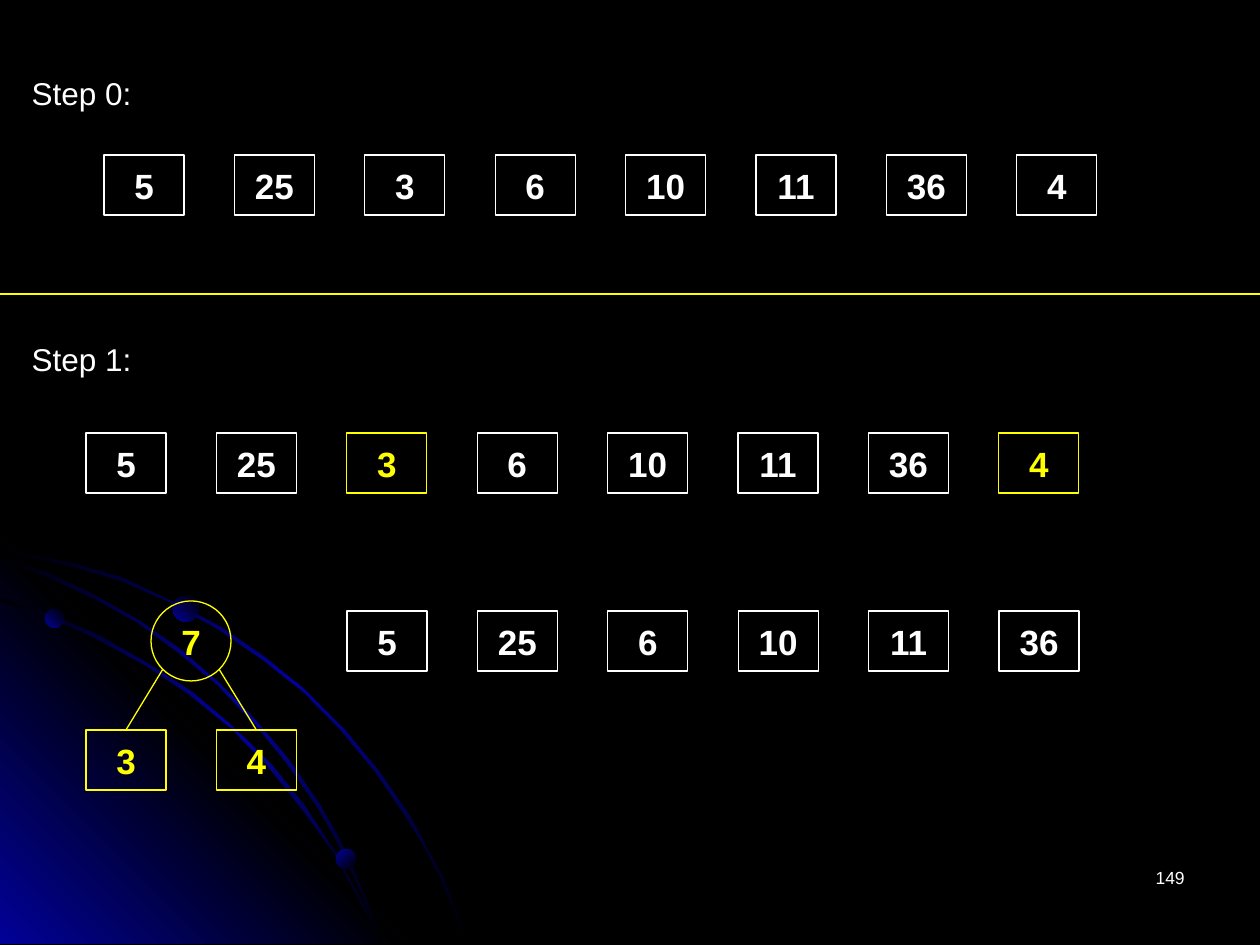
from pptx import Presentation
from pptx.dml.color import RGBColor
from pptx.enum.shapes import MSO_CONNECTOR, MSO_SHAPE
from pptx.enum.text import MSO_ANCHOR, MSO_AUTO_SIZE, PP_ALIGN
from pptx.oxml import parse_xml
from pptx.oxml.ns import nsdecls, qn
from pptx.util import Emu, Pt
from lxml.etree import SubElement

PX = 914400 / 126
WHITE, YELLOW, BLUE, BLACK = "FFFFFF", "FFFF00", "010199", "000000"
BOX_W, BOX_H, PITCH = 80, 60, 130.4
GLOW = (BLACK, BLUE, BLACK)

OUTER_ARC = [
    (72, 563), (35, 556), (0, 548), (0, 552), (35, 558), (71, 566), (122, 581), (170, 602),
    (218, 629), (262, 659), (304, 692), (341, 730), (375, 771), (407, 818), (425, 848),
    (441, 879), (454, 911), (466, 944), (469, 944), (456, 911), (444, 879), (427, 848),
    (410, 816), (378, 770), (343, 728), (305, 690), (263, 656), (219, 626), (171, 601),
    (123, 578),
]
CORNER = [(406, 944), (0, 944), (0, 538)]
INNER_ARC = [
    (359, 900), (370, 922), (379, 944), (382, 944), (373, 920), (360, 897), (335, 852),
    (305, 806), (271, 764), (232, 726), (192, 692), (147, 663), (100, 636), (52, 615),
    (0, 598), (0, 601), (49, 617), (97, 639), (145, 665), (189, 694), (231, 728),
    (268, 766), (302, 809), (334, 853),
]
MIDDLE_ARC = [
    (0, 557), (0, 559), (45, 576), (93, 598), (137, 622), (179, 653), (218, 685),
    (255, 724), (286, 762), (318, 808), (336, 840), (353, 874), (368, 910), (379, 944),
    (382, 944), (370, 907), (355, 873), (339, 838), (320, 805), (289, 760), (257, 722),
    (220, 684), (181, 650), (140, 621), (96, 596), (49, 573),
]


def px(*lengths):
    return [Emu(round(length * PX)) for length in lengths]


def color(hex_string):
    return RGBColor.from_string(hex_string)


def fill_gradient(shape, colors, angle):
    shape.shadow.inherit = False
    shape.line.fill.background()
    shape.fill.background()
    step = 100000 // (len(colors) - 1)
    stops = "".join(
        f'<a:gs pos="{i * step}"><a:srgbClr val="{stop}"/></a:gs>'
        for i, stop in enumerate(colors)
    )
    gradient = parse_xml(
        f'<a:gradFill {nsdecls("a")}><a:gsLst>{stops}</a:gsLst>'
        f'<a:lin ang="{angle * 60000}" scaled="0"/></a:gradFill>'
    )
    properties = shape._element.spPr
    properties.replace(properties.find(qn("a:noFill")), gradient)


def add_outline(slide, points, colors, angle):
    builder = slide.shapes.build_freeform(*points[0], scale=PX)
    builder.add_line_segments(points[1:], close=True)
    fill_gradient(builder.convert_to_shape(), colors, angle)


def add_planet(slide, left, top, size, angle):
    planet = slide.shapes.add_shape(MSO_SHAPE.OVAL, *px(left, top, size, size))
    fill_gradient(planet, (BLUE, BLACK), angle)


def set_text(shape, text, size, hex_string, align, bold=False):
    paragraph = shape.text_frame.paragraphs[0]
    paragraph.text = text
    paragraph.alignment = align
    font = paragraph.font
    font.name, font.size, font.bold = "Arial", Pt(size), bold
    font.color.rgb = color(hex_string)


def add_node(slide, kind, left, top, width, height, value, hex_string):
    node = slide.shapes.add_shape(kind, *px(left, top, width, height))
    node.shadow.inherit = False
    node.fill.background()
    node.line.color.rgb = color(hex_string)
    node.line.width = Pt(0.75)
    node.text_frame.word_wrap = False
    node.text_frame.vertical_anchor = MSO_ANCHOR.MIDDLE
    set_text(node, str(value), 20, hex_string, PP_ALIGN.CENTER, bold=True)
    return node


def add_row(slide, left, top, values, chosen=()):
    return [
        add_node(slide, MSO_SHAPE.RECTANGLE, left + i * PITCH, top, BOX_W, BOX_H,
                 value, YELLOW if value in chosen else WHITE)
        for i, value in enumerate(values)
    ]


def add_line(slide, x1, y1, x2, y2):
    line = slide.shapes.add_connector(MSO_CONNECTOR.STRAIGHT, *px(x1, y1, x2, y2))
    line.line.color.rgb = color(YELLOW)
    line.line.width = Pt(0.75)
    SubElement(line._element.spPr, qn("a:effectLst"))
    return line


def add_label(slide, left, top, width, height, text, size, align, wrap):
    label = slide.shapes.add_textbox(*px(left, top, width, height))
    label.text_frame.word_wrap = wrap
    if not wrap:
        label.text_frame.auto_size = MSO_AUTO_SIZE.SHAPE_TO_FIT_TEXT
    set_text(label, text, size, WHITE, align)


def add_backdrop(slide):
    background = slide.background.fill
    background.solid()
    background.fore_color.rgb = color(BLACK)
    add_outline(slide, OUTER_ARC, GLOW, 45)
    add_outline(slide, CORNER, (BLUE, BLACK, BLUE), 315)
    add_outline(slide, INNER_ARC, GLOW, 45)
    add_outline(slide, MIDDLE_ARC, GLOW, 45)
    add_planet(slide, 45, 609, 19, 315)
    add_planet(slide, 336, 849, 20, 45)
    add_planet(slide, 173, 596, 26, 315)


def add_tree(slide, left, top, total, children):
    leaves = add_row(slide, left, top + 129, children, children)
    add_node(slide, MSO_SHAPE.OVAL, left + 65, top, BOX_W, BOX_W, total, YELLOW)
    for start, leaf in zip((left + 77, left + 133), leaves):
        branch = add_line(slide, start, top + 68, start, top + 129)
        branch.end_connect(leaf, 0)


def main():
    presentation = Presentation()
    presentation.slide_width, presentation.slide_height = px(1260, 945)
    slide = presentation.slides.add_slide(presentation.slide_layouts[6])
    add_backdrop(slide)

    frequencies = [5, 25, 3, 6, 10, 11, 36, 4]
    smallest = sorted(frequencies)[:2]
    remaining = [value for value in frequencies if value not in smallest]
    add_row(slide, 104, 155, frequencies)
    add_line(slide, 0, 294, 1260, 294)
    add_row(slide, 86, 433, frequencies, smallest)
    add_row(slide, 347, 611, remaining)
    add_tree(slide, 86, 601, sum(smallest), smallest)

    for step, top in enumerate((68, 334)):
        add_label(slide, 19, top, 125, 50, f"Step {step}:", 18, PP_ALIGN.CENTER, False)
    add_label(slide, 903, 861, 294, 63, "149", 10, PP_ALIGN.RIGHT, True)
    presentation.save("out.pptx")


if __name__ == "__main__":
    main()
